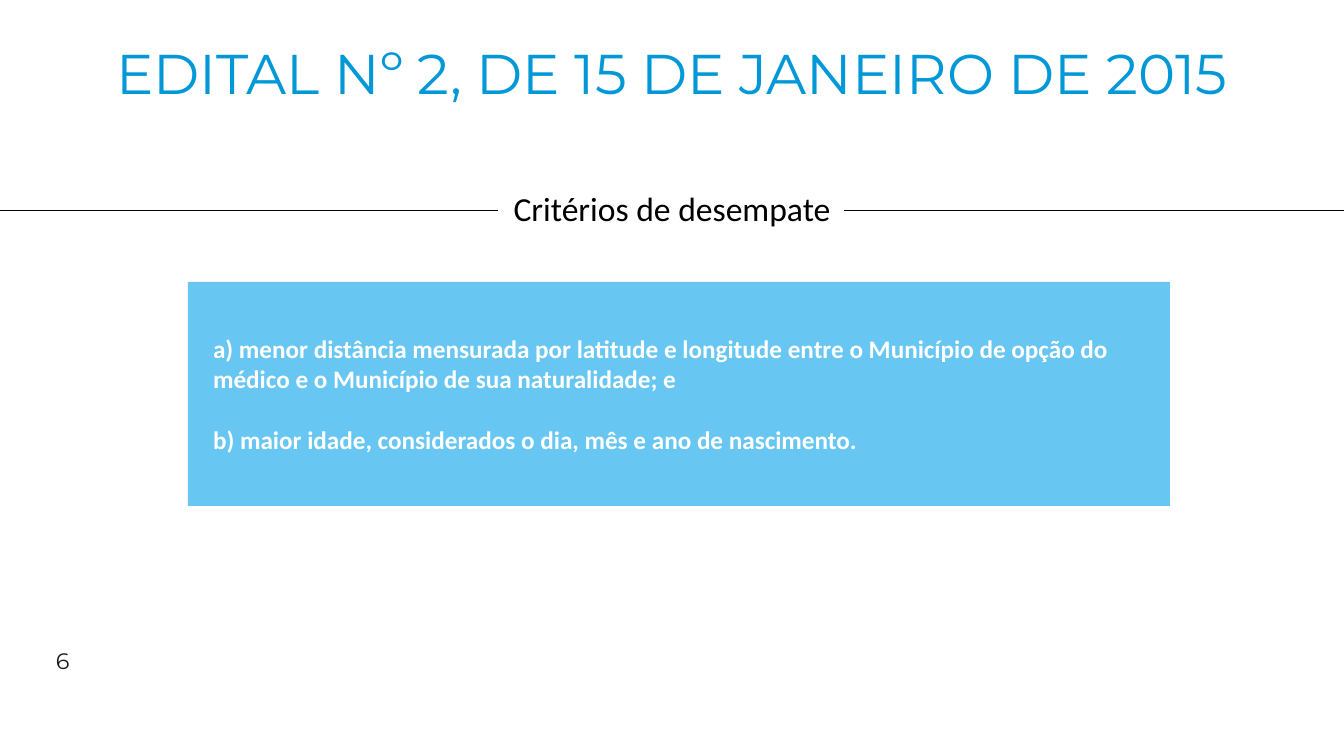
from lxml import etree
from pptx import Presentation
from pptx.dml.color import RGBColor
from pptx.enum.shapes import MSO_CONNECTOR, MSO_SHAPE
from pptx.enum.text import MSO_ANCHOR, MSO_AUTO_SIZE, PP_ALIGN
from pptx.oxml.ns import qn
from pptx.util import Pt

EMU_PER_PX = 914400 / 100.8
SLIDE_WIDTH, SLIDE_HEIGHT = 1344, 756
LEFT, CENTER = PP_ALIGN.LEFT, PP_ALIGN.CENTER
TOP, MIDDLE = MSO_ANCHOR.TOP, MSO_ANCHOR.MIDDLE
RECTANGLE, STRAIGHT = MSO_SHAPE.RECTANGLE, MSO_CONNECTOR.STRAIGHT
NO_AUTOFIT = MSO_AUTO_SIZE.NONE

BLUE, LIGHT_BLUE = "0098D6", "67C7F2"
WHITE, BLACK, INK = "FFFFFF", "000000", "18191E"
HEADING_FONT, BODY_FONT = "Montserrat", "Calibri"

CRITERIA = [
    "a) menor distância mensurada por latitude e longitude entre o Município "
    "de opção do médico e o Município de sua naturalidade; e",
    "b) maior idade, considerados o dia, mês e ano de nascimento.",
]


def px(length):
    return round(length * EMU_PER_PX)


def color(hex_string):
    return RGBColor.from_string(hex_string)


def place(shape, box):
    shape.left, shape.top, shape.width, shape.height = map(px, box)


def write(shape, paragraphs, *, size, font, fill, bold=False, align=LEFT,
          anchor=TOP, line_spacing=1.0, gap=0):
    """Fill a shape with unbulleted paragraphs, separated by gap points."""
    frame = shape.text_frame
    frame.word_wrap = True
    frame.auto_size = NO_AUTOFIT
    frame.vertical_anchor = anchor
    for index, text in enumerate(paragraphs):
        paragraph = frame.add_paragraph() if index else frame.paragraphs[0]
        properties = paragraph._p.get_or_add_pPr()
        properties.set("marL", "0")
        properties.set("indent", "0")
        etree.SubElement(properties, qn("a:buNone"))
        paragraph.alignment = align
        paragraph.line_spacing = line_spacing
        paragraph.space_before = Pt(gap if index else 0)
        run = paragraph.add_run()
        run.text = text
        run.font.size = Pt(size)
        run.font.name = font
        run.font.bold = bold
        run.font.color.rgb = color(fill)


def add_title(slide, box):
    title = slide.shapes.title
    place(title, box)
    write(title, ["EDITAL Nº 2, DE 15 DE JANEIRO DE 2015"], size=40,
          font=HEADING_FONT, fill=BLUE, align=CENTER, line_spacing=0.9)


def add_rule(slide, start, end, y):
    rule = slide.shapes.add_connector(
        STRAIGHT, px(start), px(y), px(end), px(y))
    rule.line.color.rgb = color(BLACK)
    rule.line.width = Pt(0.5)
    etree.SubElement(rule._element.spPr, qn("a:effectLst"))


def add_section_heading(slide, box):
    """Centre a heading between two rules that reach the slide edges."""
    left, top, width, height = box
    heading = slide.shapes.add_textbox(*map(px, box))
    write(heading, ["Critérios de desempate"], size=24, font=BODY_FONT,
          fill=BLACK, align=CENTER)
    rule_y = top + 27
    middle = left + width // 2
    add_rule(slide, middle - 174, 0, rule_y)
    add_rule(slide, SLIDE_WIDTH, middle + 172, rule_y)


def add_criteria(slide, box):
    left, top, width, height = box
    card = slide.shapes.add_shape(RECTANGLE, *map(px, box))
    card.shadow.inherit = False
    card.fill.solid()
    card.fill.fore_color.rgb = color(LIGHT_BLUE)
    card.line.fill.background()
    slide.shapes._spTree.insert(2, card._element)  # behind the list

    criteria = slide.placeholders[1]
    place(criteria, (left + 15, top + 46, width - 15, 132))
    write(criteria, CRITERIA, size=18, font=BODY_FONT, fill=WHITE,
          bold=True, gap=22)


def add_page_number(slide, box):
    number = slide.shapes.add_textbox(*map(px, box))
    write(number, ["6"], size=16, font=HEADING_FONT, fill=INK, anchor=MIDDLE)


def main():
    presentation = Presentation()
    presentation.slide_width = px(SLIDE_WIDTH)
    presentation.slide_height = px(SLIDE_HEIGHT)
    slide = presentation.slides.add_slide(presentation.slide_layouts[1])
    add_title(slide, (0, 41, SLIDE_WIDTH, 146))
    add_section_heading(slide, (106, 183, 1132, 132))
    add_criteria(slide, (188, 282, 982, 224))
    add_page_number(slide, (46, 641, 302, 40))
    presentation.save("out.pptx")


if __name__ == "__main__":
    main()
